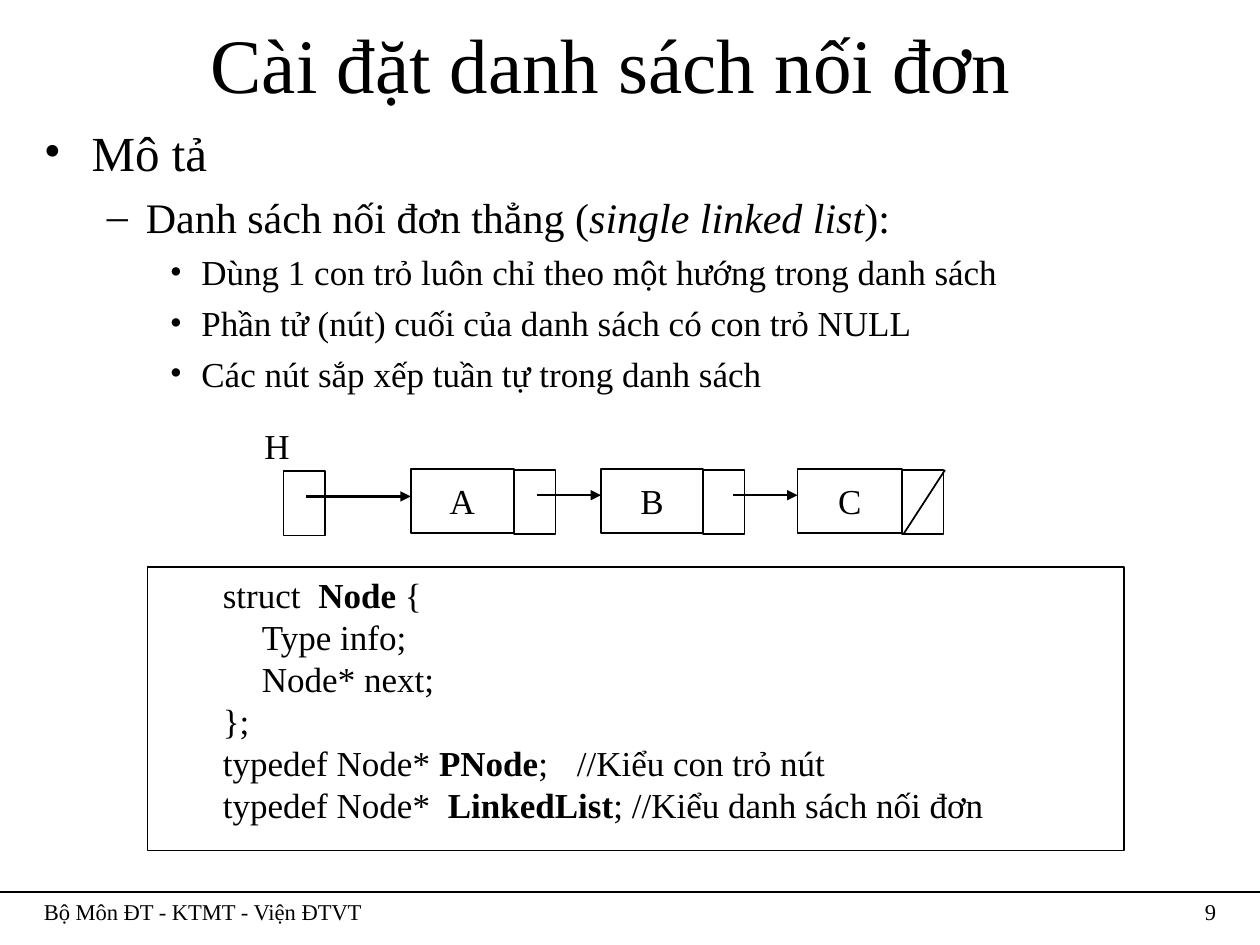
from lxml import etree
from pptx import Presentation
from pptx.enum import shapes, text
from pptx.dml.color import RGBColor
from pptx.oxml import ns
from pptx.util import Inches, Pt

COLORS = {"ink": "000000", "paper": "FFFFFF"}
LEVELS = [
    {"size": 28, "left": 0.38, "hang": 0.38, "before": 7, "bullet": "•"},
    {"size": 24, "left": 0.81, "hang": 0.31, "before": 6, "bullet": "–"},
    {"size": 20, "left": 1.25, "hang": 0.25, "before": 5, "bullet": "•"},
]
CODE_STYLE = {"size": 20, "left": 0.81, "hang": 0.31, "tabs": range(8)}

OUTLINE = [
    (0, [("Mô tả", {})]),
    (1, [("Danh sách nối đơn thẳng (", {}),
         ("single linked list", {"italic": True}), ("):", {})]),
    (2, [("Dùng 1 con trỏ luôn chỉ theo một hướng trong danh sách", {})]),
    (2, [("Phần tử (nút) cuối của danh sách có con trỏ NULL", {})]),
    (2, [("Các nút sắp xếp tuần tự trong danh sách", {})]),
]
CODE = [
    [("struct  ", {}), ("Node", {"bold": True}), (" {", {})],
    [("\tType info;", {})],
    [("\tNode* next;", {})],
    [("};", {})],
    [("typedef Node* ", {}), ("PNode", {"bold": True}),
     (";\t//Kiểu con trỏ nút", {})],
    [("typedef Node*  ", {}), ("LinkedList", {"bold": True}),
     ("; //Kiểu danh sách nối đơn", {})],
]
NODES = [("A", 3.26, 0.82), ("B", 4.77, 0.81), ("C", 6.33, 0.83)]
ARROWS = [(2.43, 3.26, 3.94), (4.26, 4.77, 3.93), (5.82, 6.33, 3.93)]
NODE_TOP, LINK_TOP, LINK_WIDTH, NODE_HEIGHT = 3.72, 3.73, 0.33, 0.51


class SlideBuilder:
    def __init__(self, page, font="Times New Roman"):
        self.page = page
        self.font = font
        self.ink = RGBColor.from_string(COLORS["ink"])
        background = page.background.fill
        background.solid()
        background.fore_color.rgb = RGBColor.from_string(COLORS["paper"])

    def child(self, parent, tag, **attributes):
        return etree.SubElement(parent, ns.qn(tag), attributes)

    def paragraph(self, para, spans, size=20, align="LEFT", left=0, hang=0,
                  before=0, bullet=None, tabs=()):
        para.alignment = getattr(text.PP_ALIGN, align)
        para.space_before = Pt(before)
        properties = para._p.get_or_add_pPr()
        properties.set("marL", str(Inches(left)))
        properties.set("indent", str(Inches(-hang)))
        if bullet:
            color = self.child(properties, "a:buClr")
            self.child(color, "a:srgbClr", val=COLORS["ink"])
            self.child(properties, "a:buFont", typeface=self.font)
            self.child(properties, "a:buChar", char=bullet)
        if tabs:
            stops = self.child(properties, "a:tabLst")
            for stop in tabs:
                self.child(stops, "a:tab", pos=str(Inches(stop)), algn="l")
        for words, formats in spans:
            span = para.add_run()
            span.text = words
            span.font.color.rgb = self.ink
            values = {"name": self.font, "size": Pt(size), **formats}
            for name, value in values.items():
                setattr(span.font, name, value)

    def fill_frame(self, frame, rows, anchor="TOP", wrap=True, right=0.1):
        values = {"word_wrap": wrap, "margin_right": Inches(right),
                  "vertical_anchor": getattr(text.MSO_ANCHOR, anchor)}
        for name, value in values.items():
            setattr(frame, name, value)
        for index, (spans, style) in enumerate(rows):
            para = frame.add_paragraph() if index else frame.paragraphs[0]
            self.paragraph(para, spans, **style)

    def text(self, place, rows, **layout):
        box = self.page.shapes.add_textbox(*map(Inches, place))
        self.fill_frame(box.text_frame, rows, **layout)

    def rectangle(self, place, rows=(), width=1, **layout):
        box = self.page.shapes.add_shape(
            shapes.MSO_SHAPE.RECTANGLE, *map(Inches, place))
        box.shadow.inherit = False
        box.fill.background()
        box.line.color.rgb = self.ink
        box.line.width = Pt(width)
        self.fill_frame(box.text_frame, rows, **layout)

    def line(self, points, width=1, arrow=False):
        line = self.page.shapes.add_connector(
            shapes.MSO_CONNECTOR.STRAIGHT, *map(Inches, points))
        line.line.color.rgb = self.ink
        line.line.width = Pt(width)
        properties = line._element.spPr
        if arrow:
            self.child(properties.find(ns.qn("a:ln")), "a:tailEnd",
                       type="triangle")
        self.child(properties, "a:effectLst")


def plain(words, **style):
    return [([(words, {})], style)]


def main():
    deck = Presentation()
    deck.slide_width, deck.slide_height = Inches(10), Inches(7.5)
    builder = SlideBuilder(deck.slides.add_slide(deck.slide_layouts[6]))

    builder.line((0, 7.08, 10, 7.08), width=0.75)
    builder.text((8.92, 7.08, 0.83, 0.33),
                 plain("9", size=12.9, align="RIGHT"))
    builder.text((0.25, 0.92, 9.5, 2.33),
                 [(spans, LEVELS[level]) for level, spans in OUTLINE])
    builder.text((0.25, 0.08, 9.5, 0.83),
                 plain("Cài đặt danh sách nối đơn", size=44, align="CENTER"),
                 anchor="MIDDLE", right=0.4)
    builder.rectangle((1.17, 4.5, 7.75, 2.25),
                      [(spans, CODE_STYLE) for spans in CODE], width=0.75)

    builder.text((2, 3.32, 0.4, 0.44), plain("H"), wrap=False)
    builder.rectangle((2.25, 3.74, LINK_WIDTH, NODE_HEIGHT))
    for name, left, width in NODES:
        builder.rectangle((left, NODE_TOP, width, NODE_HEIGHT),
                          plain(name, align="CENTER"),
                          anchor="MIDDLE", wrap=False)
        builder.rectangle((left + width, LINK_TOP, LINK_WIDTH, NODE_HEIGHT))
    for start, end, height in ARROWS:
        builder.line((start, height, end, height), width=1.5, arrow=True)
    builder.line((7.17, LINK_TOP + NODE_HEIGHT, 7.5, LINK_TOP))

    builder.text((0.25, 7.08, 8.5, 0.33),
                 plain("Bộ Môn ĐT - KTMT - Viện ĐTVT", size=12.9))
    deck.save("out.pptx")


if __name__ == "__main__":
    main()
